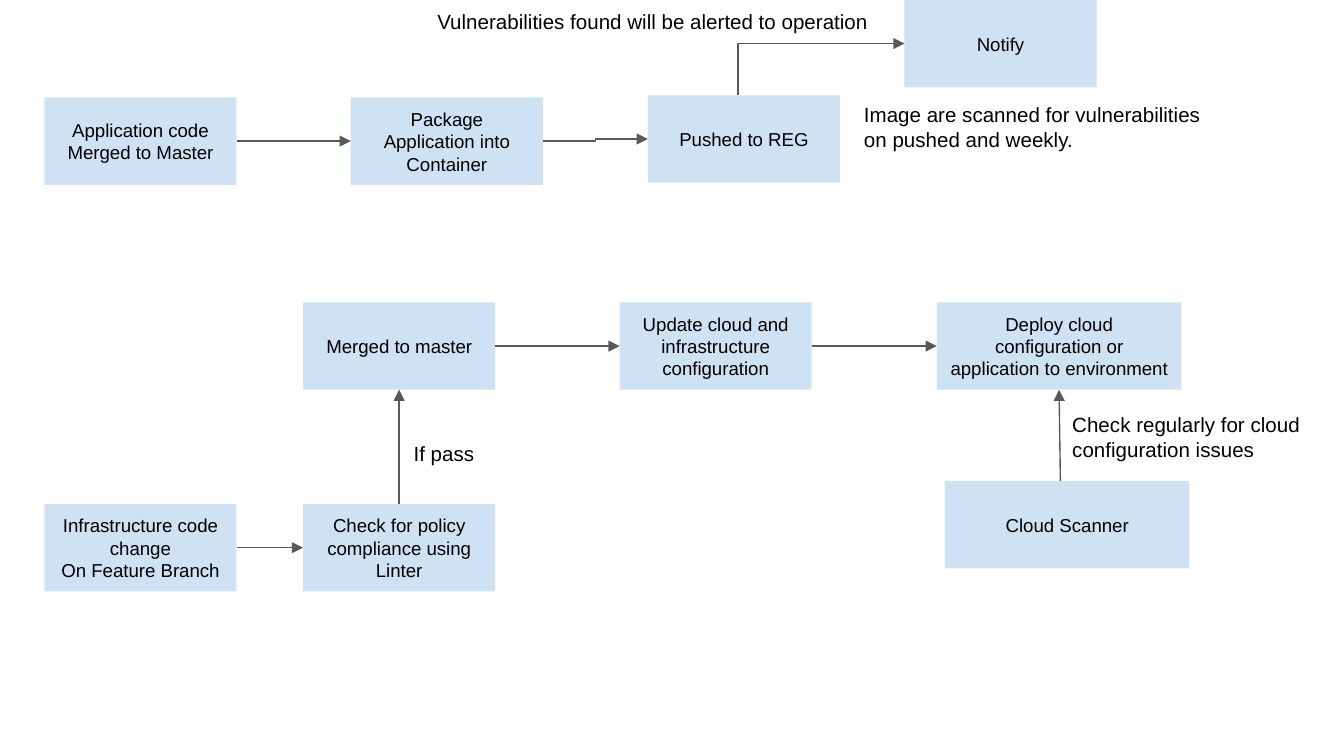
from dataclasses import dataclass

from lxml.etree import SubElement
from pptx import Presentation
from pptx.dml.color import RGBColor
from pptx.enum.shapes import MSO_CONNECTOR as Route, MSO_SHAPE as Shape
from pptx.enum.text import MSO_ANCHOR as Anchor, MSO_AUTO_SIZE as AutoSize, PP_ALIGN as Align
from pptx.oxml.ns import qn
from pptx.util import Inches, Pt


@dataclass(frozen=True)
class Theme:
    font: str = "Arial"
    box_fill: RGBColor = RGBColor(0xCF, 0xE2, 0xF3)
    ink: RGBColor = RGBColor(0, 0, 0)
    arrow: RGBColor = RGBColor(0x59, 0x59, 0x59)
    box_size: Pt = Pt(10)
    note_size: Pt = Pt(11)
    arrow_width: Pt = Pt(0.75)


THEME = Theme()
SLIDE_WIDTH = Inches(10)
SLIDE_HEIGHT = SLIDE_WIDTH * 9 // 16
GRID = SLIDE_WIDTH / 100
BOX_HEIGHT, NARROW, WIDE = 6.5, 14.3, 18.2
TOP, LEFT, BOTTOM, RIGHT = range(4)

STEPS = {
    "application": ("Application code Merged to Master", 3.3, 7.25, NARROW),
    "container": ("Package Application into Container", 26.1, 7.25, NARROW),
    "registry": ("Pushed to REG", 48.2, 7.1, NARROW),
    "alert": ("Notify", 67.3, 0, NARROW),
    "infrastructure": ("Infrastructure code change\nOn Feature Branch", 3.3, 37.5, NARROW),
    "policy": ("Check for policy compliance using Linter", 22.55, 37.5, NARROW),
    "merged": ("Merged to master", 22.55, 22.5, NARROW),
    "update": ("Update cloud and infrastructure configuration", 46.1, 22.5, NARROW),
    "deploy": ("Deploy cloud configuration or application to environment", 69.7, 22.5, WIDE),
    "inspector": ("Cloud Scanner", 70.3, 35.8, WIDE),
}

NOTES = [
    ("Vulnerabilities found will be alerted to operation", 31.55, 0.2, 38.2, 2.9),
    ("Image are scanned for vulnerabilities on pushed and weekly.", 63.3, 7.1, 28.1, 4.7),
    ("If pass", 29.8, 32.3, 7, 2.9),
    ("Check regularly for cloud configuration issues", 78.8, 30.2, 20.4, 4.7),
]

FLOWS = [
    ("application", "container"),
    ("container", "registry"),
    ("infrastructure", "policy"),
    ("merged", "update"),
    ("update", "deploy"),
]


def cells(*counts):
    return [round(count * GRID) for count in counts]


def write_text(frame, text, size, align):
    frame.word_wrap = True
    frame.text = text
    for para in frame.paragraphs:
        para.alignment = align
        for span in para.runs:
            span.font.name = THEME.font
            span.font.size = size
            span.font.color.rgb = THEME.ink


def add_step(page, text, left, top, width):
    box = page.shapes.add_shape(Shape.RECTANGLE, *cells(left, top, width, BOX_HEIGHT))
    box.shadow.inherit = False
    box.fill.solid()
    box.fill.fore_color.rgb = THEME.box_fill
    box.line.fill.background()
    frame = box.text_frame
    frame.margin_left = frame.margin_right = Inches(0.1)
    frame.margin_top = frame.margin_bottom = Inches(0.1)
    frame.vertical_anchor = Anchor.MIDDLE
    write_text(frame, text, THEME.box_size, Align.CENTER)
    return box


def add_note(page, text, *place):
    note = page.shapes.add_textbox(*cells(*place))
    write_text(note.text_frame, text, THEME.note_size, Align.LEFT)
    note.text_frame.auto_size = AutoSize.SHAPE_TO_FIT_TEXT


def add_arrow(page, route, start=(0, 0), end=(0, 0)):
    arrow = page.shapes.add_connector(route, *cells(*start, *end))
    arrow.line.color.rgb = THEME.arrow
    arrow.line.width = THEME.arrow_width
    properties = arrow._element.spPr
    SubElement(properties.find(qn("a:ln")), qn("a:tailEnd"), type="triangle")
    SubElement(properties, qn("a:effectLst"))
    return arrow


def set_bend(arrow, share):
    geometry = arrow._element.spPr.find(qn("a:prstGeom"))
    guides = geometry.find(qn("a:avLst"))
    if guides is None:
        guides = SubElement(geometry, qn("a:avLst"))
    SubElement(guides, qn("a:gd"), name="adj1", fmla=f"val {round(share * 100000)}")


def main():
    deck = Presentation()
    deck.slide_width, deck.slide_height = SLIDE_WIDTH, SLIDE_HEIGHT
    page = deck.slides.add_slide(deck.slide_layouts[6])

    boxes = {name: add_step(page, *step) for name, step in STEPS.items()}

    for source, target in FLOWS:
        arrow = add_arrow(page, Route.ELBOW)
        arrow.begin_connect(boxes[source], RIGHT)
        arrow.end_connect(boxes[target], LEFT)

    passed = add_arrow(page, Route.STRAIGHT)
    passed.begin_connect(boxes["policy"], TOP)
    passed.end_connect(boxes["merged"], BOTTOM)

    check = add_arrow(page, Route.STRAIGHT, start=(78.9, 35.8))
    check.end_connect(boxes["deploy"], BOTTOM)

    alert = add_arrow(page, Route.ELBOW, start=(54.9, 7.1), end=(67.3, 3.25))
    set_bend(alert, 0)

    for note in NOTES:
        add_note(page, *note)

    deck.save("out.pptx")


if __name__ == "__main__":
    main()
